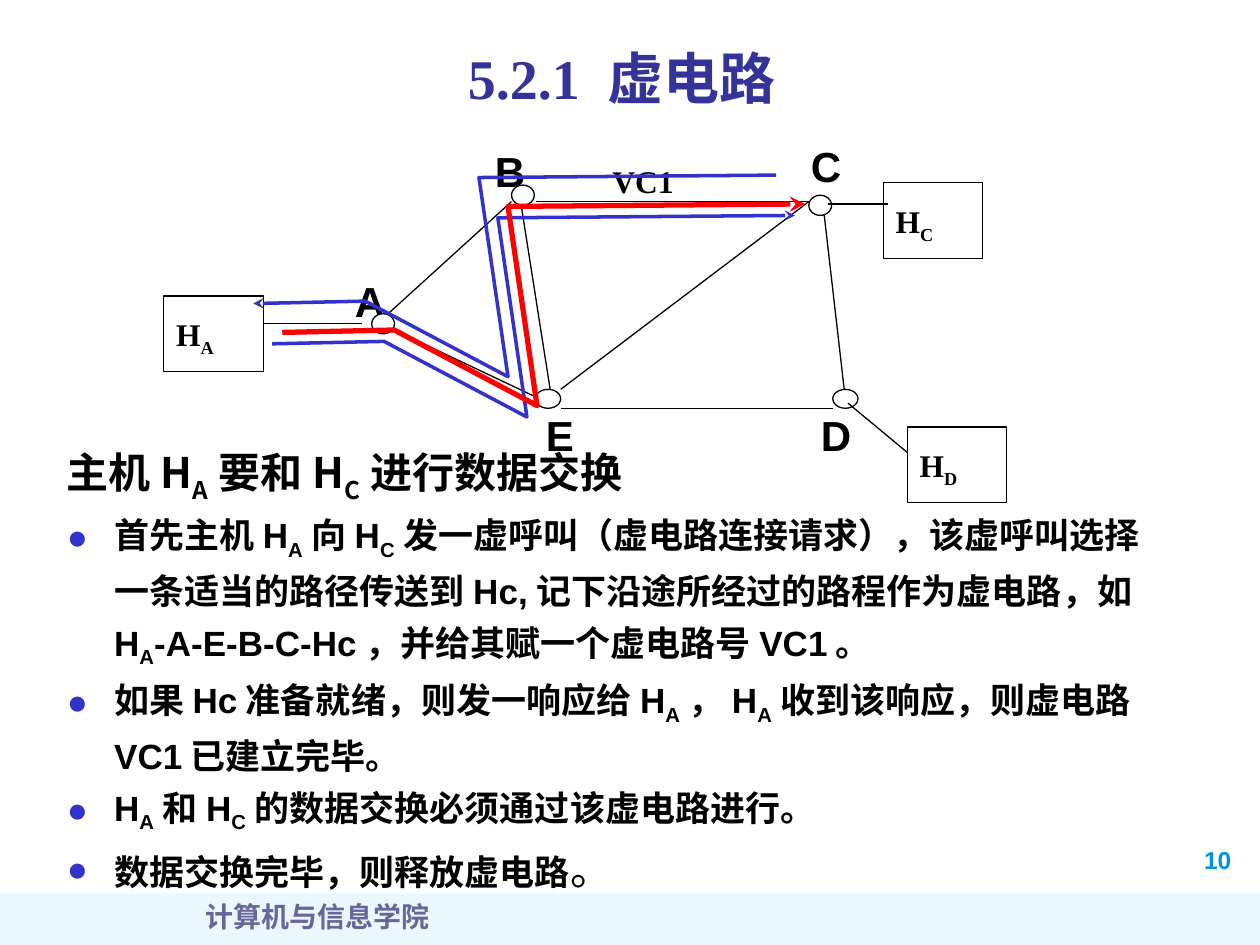
from dataclasses import dataclass

from lxml import etree
from pptx import Presentation
from pptx.dml.color import RGBColor
from pptx.enum.shapes import MSO_CONNECTOR, MSO_SHAPE
from pptx.enum.text import MSO_ANCHOR, MSO_AUTO_SIZE, PP_ALIGN
from pptx.oxml.ns import qn
from pptx.util import Pt

LINE = MSO_CONNECTOR.STRAIGHT
RECT, OVAL = MSO_SHAPE.RECTANGLE, MSO_SHAPE.OVAL
MIDDLE, TOP = MSO_ANCHOR.MIDDLE, MSO_ANCHOR.TOP
LEFT, CENTER, JUSTIFY = PP_ALIGN.LEFT, PP_ALIGN.CENTER, PP_ALIGN.JUSTIFY


@dataclass(frozen=True)
class Theme:
    ink: str = "000000"
    paper: str = "FFFFFF"
    title: str = "333399"
    blue: str = "3333CC"
    red: str = "FF0000"
    bar: str = "A7E2FF"
    footer: str = "666699"
    number: str = "0094DE"
    sans: str = "Arial"
    serif: str = "Times New Roman"
    cjk: str = "Noto Sans CJK SC"
    title_size: int = 32
    large: int = 24
    body: int = 20
    host: int = 18
    small: int = 16
    page: int = 14


T = Theme()

BULLETS = [
    "首先主机H_A向H_C发一虚呼叫（虚电路连接请求），该虚呼叫选择一条适当的路径传送到Hc,"
    "记下沿途所经过的路程作为虚电路，如H_A-A-E-B-C-Hc，并给其赋一个虚电路号VC1。",
    "如果Hc准备就绪，则发一响应给H_A，H_A收到该响应，则虚电路VC1已建立完毕。",
    "H_A和H_C的数据交换必须通过该虚电路进行。",
    "数据交换完毕，则释放虚电路",
]

# Diagram parts, relative to the diagram's corner
HOSTS = {"A": (3.6, 99.2), "C": (414.7, 34.4), "D": (428.4, 174.1)}
NODES = [(122.4, 109.3, 13, 11.5), (202.3, 35.8, 13, 11.5), (372.2, 41.6, 13, 11.5),
         (385.9, 152.5, 14.4, 10.8), (216, 152.5, 14.4, 10.8)]
LABELS = {"A": (121.5, 83.7), "B": (201.5, 9.6), "C": (382, 7),
          "D": (387.7, 160.4), "E": (230, 160.4)}
LINKS = [(132.5, 117.2, 214.6, 156.1), (131, 110, 202.3, 45.2), (216, 45.2, 372.2, 45.2),
         (207.4, 44.5, 224.6, 153.9), (230.4, 152.5, 372.2, 45.2),
         (230.4, 163.3, 385.9, 163.3), (380.2, 45.9, 392.4, 152.5)]
ACCESS = [(60.5, 115, 116.6, 115), (394.6, 160.4, 428.4, 188.5), (383, 46.6, 417.6, 46.6)]
ROUTE = [(0, 73.4), (64, 72), (145.6, 115.2), (129, 1.4), (298.8, 0)]
# offset x, offset y, colour, width, arrowhead element
ROUTES = [(65.5, 53.1, T.blue, 2, "a:tailEnd"), (54.7, 30.1, T.blue, 2, "a:headEnd"),
          (71.3, 46.6, T.red, 3, "a:tailEnd")]


def rgb(code):
    return RGBColor.from_string(code)


def add_run(p, text, size, font, color=T.ink, bold=True, sub=False):
    r = p.add_run()
    r.text = text
    r.font.size, r.font.bold, r.font.name = Pt(size), bold, font
    r.font.color.rgb = rgb(color)
    rPr = r.font._element
    etree.SubElement(rPr, qn("a:ea")).set("typeface", T.cjk)
    if sub:
        rPr.set("baseline", "-25000")
    return r


def add_marked(p, text, size, font):
    """Add runs; the letter after each underscore is a subscript."""
    first, *rest = text.split("_")
    add_run(p, first, size, font)
    for part in rest:
        add_run(p, part[0], size, font, sub=True)
        if part[1:]:
            add_run(p, part[1:], size, font)


def add_label(s, x, y, w, h, text, size, font, color=T.ink, align=CENTER, wrap=False):
    tf = s.shapes.add_textbox(Pt(x), Pt(y), Pt(w), Pt(h)).text_frame
    tf.word_wrap = wrap
    p = tf.paragraphs[0]
    p.alignment = align
    add_run(p, text, size, font, color)


def add_box(s, kind, x, y, w, h):
    sp = s.shapes.add_shape(kind, Pt(x), Pt(y), Pt(w), Pt(h))
    sp.shadow.inherit = False
    sp.fill.solid()
    sp.fill.fore_color.rgb = rgb(T.paper)
    sp.line.color.rgb = rgb(T.ink)
    sp.line.width = Pt(0.75)
    return sp


def add_link(s, x1, y1, x2, y2):
    c = s.shapes.add_connector(LINE, Pt(x1), Pt(y1), Pt(x2), Pt(y2))
    c.line.color.rgb = rgb(T.ink)
    c.line.width = Pt(0.75)
    etree.SubElement(c._element.spPr, qn("a:effectLst"))


def add_route(s, x, y, color, width, end):
    points = [(Pt(x + dx), Pt(y + dy)) for dx, dy in ROUTE]
    fb = s.shapes.build_freeform(*points[0])
    fb.add_line_segments(points[1:], close=False)
    sp = fb.convert_to_shape()
    sp.shadow.inherit = False
    sp.fill.background()
    sp.line.color.rgb = rgb(color)
    sp.line.width = Pt(width)
    etree.SubElement(sp.line._get_or_add_ln(), qn(end)).set("type", "stealth")


def place(sp, x, y, w, h):
    sp.left, sp.top, sp.width, sp.height = Pt(x), Pt(y), Pt(w), Pt(h)
    tf = sp.text_frame
    tf.auto_size, tf.word_wrap, tf.vertical_anchor = MSO_AUTO_SIZE.NONE, True, MIDDLE
    return tf


def build_title(s, x, y, w, h):
    p = place(s.shapes.title, x, y, w, h).paragraphs[0]
    p.alignment = CENTER
    r = add_run(p, "5.2.1 虚电路", T.title_size, T.serif, T.title)
    # Soft text shadow, which must follow the fill
    effects = etree.Element(qn("a:effectLst"))
    shadow = etree.SubElement(effects, qn("a:outerShdw"), dist="25400", dir="2700000")
    etree.SubElement(shadow, qn("a:srgbClr"), val="C0C0C0")
    r.font._element.find(qn("a:solidFill")).addnext(effects)


def build_body(s, x, y, w, h):
    tf = place(s.placeholders[1], x, y, w, h)
    p = tf.paragraphs[0]
    format_paragraph(p, False)
    add_marked(p, "主机H_A要和H_C进行数据交换", T.large, T.cjk)
    for text in BULLETS:
        p = tf.add_paragraph()
        format_paragraph(p, True)
        add_marked(p, text, T.body, T.sans)
    add_run(p, "。", T.large, T.sans, bold=False)


def format_paragraph(p, bullet):
    pPr = p._p.get_or_add_pPr()
    indent = Pt(27) if bullet else 0
    pPr.set("marL", str(indent))
    pPr.set("indent", str(-indent))
    if bullet:
        color = etree.SubElement(pPr, qn("a:buClr"))
        etree.SubElement(color, qn("a:srgbClr"), val=T.blue)
        etree.SubElement(pPr, qn("a:buFont"), typeface=T.sans)
        etree.SubElement(pPr, qn("a:buChar"), char="●")
    else:
        etree.SubElement(pPr, qn("a:buNone"))
    p.alignment, p.line_spacing, p.space_before = LEFT, 1.2, Pt(0)


def build_network(s, x, y):
    # Node and circuit names
    for name, (cx, top) in LABELS.items():
        add_label(s, x + cx - 16, y + top, 32, 36, name, T.large, T.sans)
    add_label(s, x + 252.5, y + 19, 50, 29, "VC1", T.host, T.serif)
    # Hosts
    for name, (dx, dy) in HOSTS.items():
        tf = add_box(s, RECT, x + dx, y + dy, 56.9, 43.2).text_frame
        tf.vertical_anchor = TOP
        p = tf.paragraphs[0]
        p.alignment, p.line_spacing = JUSTIFY, 1.3
        add_marked(p, f"H_{name}", T.host, T.serif)
    # Links below the nodes, host links above them
    for x1, y1, x2, y2 in LINKS:
        add_link(s, x + x1, y + y1, x + x2, y + y2)
    for dx, dy, w, h in NODES:
        add_box(s, OVAL, x + dx, y + dy, w, h)
    for x1, y1, x2, y2 in ACCESS:
        add_link(s, x + x1, y + y1, x + x2, y + y2)
    # Call, response and the circuit itself
    for dx, dy, color, width, end in ROUTES:
        add_route(s, x + dx, y + dy, color, width, end)


def build_footer(s, x, y, w, h):
    bar = add_box(s, RECT, x, y, w, h)
    bar.fill.fore_color.rgb = rgb(T.bar)
    bar.line.fill.background()
    color = bar._element.spPr.find(qn("a:solidFill"))[0]
    etree.SubElement(color, qn("a:alpha"), val="21000")
    add_label(s, x + 20, y, 323, 36, "计算机与信息学院", T.small, T.serif, T.footer, wrap=True)
    add_label(s, x + 681, y - 31, 42, 24, "10", T.page, T.sans, T.number, LEFT, True)


def main():
    prs = Presentation()
    prs.slide_width, prs.slide_height = Pt(720), Pt(540)
    s = prs.slides.add_slide(prs.slide_layouts[1])
    build_footer(s, 0, 510.5, 720, 29.5)
    build_title(s, 76.3, 17.3, 558, 54)
    build_body(s, 31, 254.2, 635, 251.3)
    build_network(s, 90, 70)
    prs.save("out.pptx")


if __name__ == "__main__":
    main()
